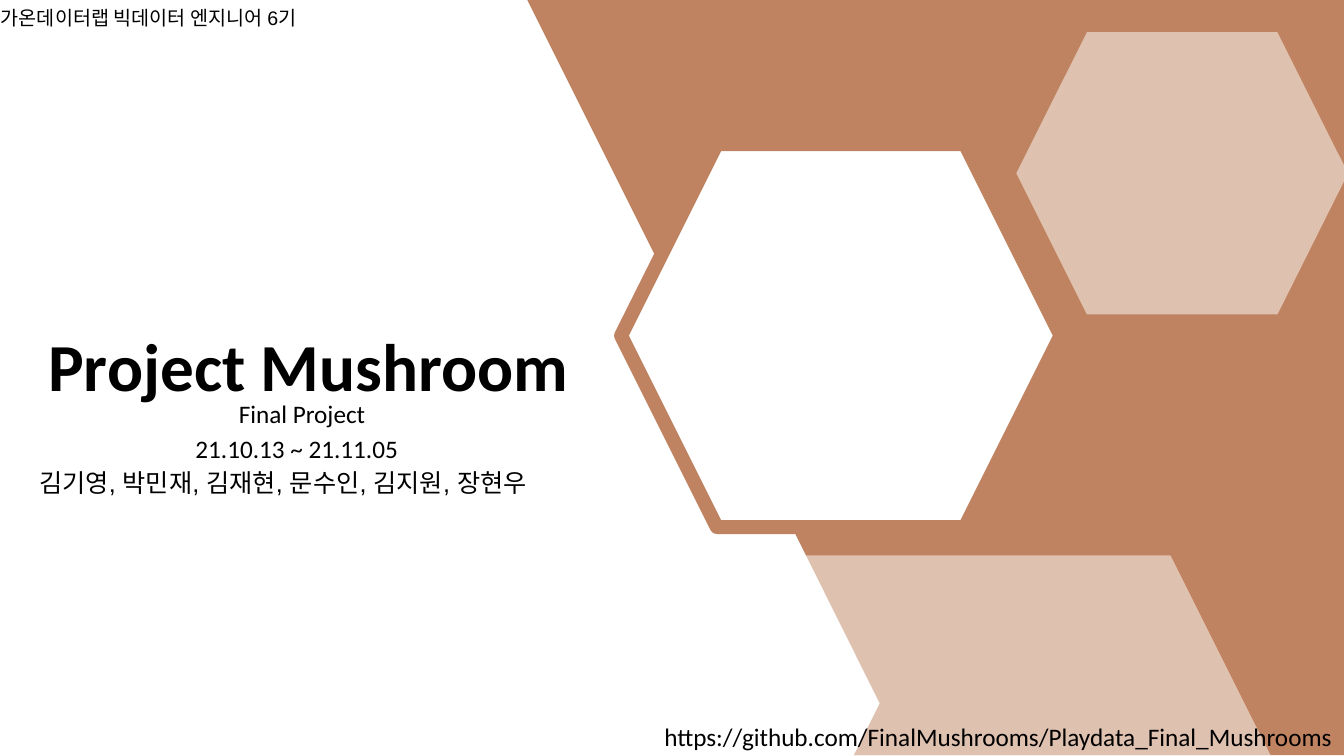
"""Build the cover slide of the Project Mushroom final presentation."""
from pptx import Presentation
from pptx.dml.color import RGBColor
from pptx.enum.shapes import MSO_SHAPE
from pptx.enum.text import MSO_AUTO_SIZE
from pptx.oxml.ns import qn
from pptx.util import Inches, Pt
from lxml.etree import SubElement

BROWN = RGBColor(0xC0, 0x83, 0x61)
WHITE = RGBColor(0xFF, 0xFF, 0xFF)
BLACK = RGBColor(0, 0, 0)

LEFT_PANEL = [(0, -0.01), (3.83, -0.01), (6.49, 5.32), (5.4, 7.49), (0, 7.49)]
BROWN_AREAS = [
    [(7.69, 0), (8.88, 0), (9.58, 1.41), (6.99, 1.41)],
    [(8.82, 0), (13.33, 0), (13.33, 3.03), (11.83, 6.03)],
    [(12.21, 0), (12.6, 0), (13.33, 1.46), (13.33, 7.49), (8.47, 7.49)],
    [(7.83, 5.18), (10.42, 5.18), (9.27, 7.49), (8.98, 7.49)],
]
LIGHT_BAND = [(6.96, 5.51), (11.61, 5.51), (12.6, 7.49), (5.96, 7.49)]
RING_HEXAGON = (6.16, 1.43, 4.36, 3.8)
TOP_TRIANGLE = (5.23, 0, 2.6, 2.6)
LIGHT_HEXAGON = (10.08, 0.32, 3.29, 2.8)

TEXTS = [
    ("Project Mushroom", (0.38, 3.17, 7.71, 0.91), "Calibri", 48, True, True),
    ("김기영, 박민재, 김재현, 문수인, 김지원, 장현우",
     (0.29, 4.59, 5.51, 0.4), "Arial", 18, False, True),
    ("가온데이터랩 빅데이터 엔지니어 6기",
     (-0.09, 0.01, 4.65, 0.34), "Arial", 14, False, True),
    ("Final Project", (2.27, 3.9, 1.56, 0.4), "Calibri", 18, False, True),
    ("https://github.com/FinalMushrooms/Playdata_Final_Mushrooms",
     (6.49, 7.11, 6.99, 0.4), "Calibri", 18, False, True),
    ("21.10.13 ~ 21.11.05", (1.84, 4.25, 2.23, 0.4), "Calibri", 18, False, False),
]


def paint(shape, color, opacity=100):
    shape.shadow.inherit = False
    shape.line.fill.background()
    shape.fill.solid()
    shape.fill.fore_color.rgb = color
    if opacity < 100:
        tint = shape.fill._xPr.find(qn("a:solidFill"))[0]
        SubElement(tint, qn("a:alpha")).set("val", str(opacity * 1000))


def add_polygon(page, points, color, opacity=100):
    corners = [(Inches(x), Inches(y)) for x, y in points]
    builder = page.shapes.build_freeform(*corners[0])
    builder.add_line_segments(corners[1:], close=True)
    paint(builder.convert_to_shape(), color, opacity)


def add_preset(page, kind, place):
    return page.shapes.add_shape(kind, *map(Inches, place))


def add_text(page, text, place, font_name, size, bold, wrap):
    box = page.shapes.add_textbox(*map(Inches, place))
    frame = box.text_frame
    frame.text = text
    frame.word_wrap = wrap
    frame.auto_size = MSO_AUTO_SIZE.SHAPE_TO_FIT_TEXT
    font = frame.paragraphs[0].runs[0].font
    font.name = font_name
    font.size = Pt(size)
    font.bold = bold
    font.color.rgb = BLACK


def main():
    deck = Presentation()
    deck.slide_width, deck.slide_height = Inches(13.33), Inches(7.5)
    page = deck.slides.add_slide(deck.slide_layouts[6])

    add_polygon(page, LEFT_PANEL, WHITE, 60)

    ring = add_preset(page, MSO_SHAPE.HEXAGON, RING_HEXAGON)
    ring.shadow.inherit = False
    ring.fill.background()
    ring.line.color.rgb = BROWN
    ring.line.width = Pt(10)

    triangle = add_preset(page, MSO_SHAPE.ISOSCELES_TRIANGLE, TOP_TRIANGLE)
    triangle.rotation = 180
    paint(triangle, BROWN)

    for points in BROWN_AREAS:
        add_polygon(page, points, BROWN)
    add_polygon(page, LIGHT_BAND, WHITE, 50)
    paint(add_preset(page, MSO_SHAPE.HEXAGON, LIGHT_HEXAGON), WHITE, 50)

    for entry in TEXTS:
        add_text(page, *entry)
    deck.save("out.pptx")


if __name__ == "__main__":
    main()
